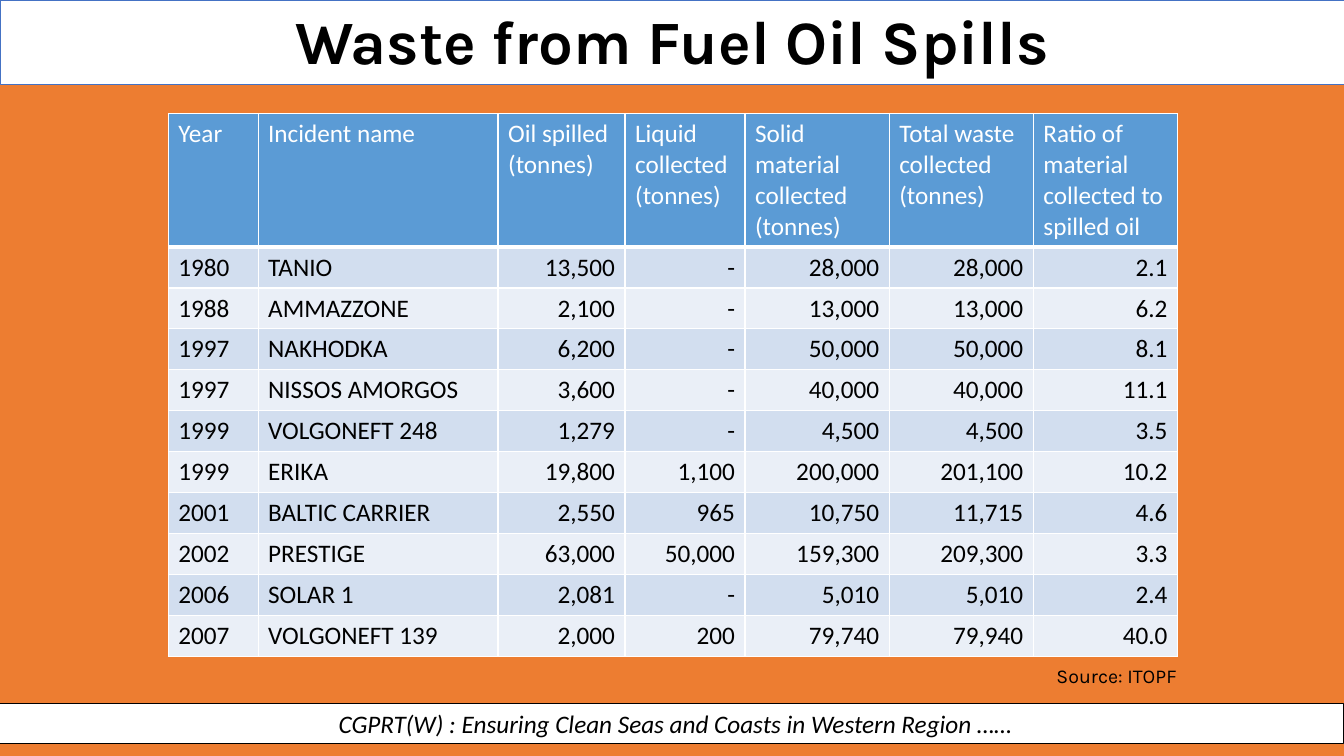
"""Build the slide on waste collected after fuel oil spills."""

from dataclasses import dataclass

from lxml.etree import SubElement
from pptx import Presentation
from pptx.dml.color import RGBColor as Color
from pptx.enum.shapes import MSO_SHAPE as Shape
from pptx.enum.text import MSO_ANCHOR as Anchor, MSO_AUTO_SIZE as AutoSize, PP_ALIGN as Align
from pptx.oxml.ns import qn
from pptx.util import Inches, Pt


@dataclass(frozen=True)
class Theme:
    background: str = "ED7D31"
    white: str = "FFFFFF"
    black: str = "000000"
    title_line: str = "4472C4"
    header: str = "5B9BD5"
    odd_row: str = "D2DEEF"
    even_row: str = "EAEFF7"
    title_font: str = "Karla"
    body_font: str = "Calibri"
    title_size: int = 44
    body_size: int = 18
    source_size: int = 14


@dataclass(frozen=True)
class Band:
    top: float
    height: float
    line: str
    line_width: float


@dataclass(frozen=True)
class Column:
    heading: str
    width: float
    align: Align = Align.RIGHT


THEME = Theme()
SLIDE_WIDTH, SLIDE_HEIGHT = 13.33, 7.5
TITLE_BAND = Band(0, 0.84, THEME.title_line, 0.5)
FOOTER_BAND = Band(6.98, 0.4, THEME.black, 0.75)
HEADER_HEIGHT, ROW_HEIGHT = 1.3, 0.406

COLUMNS = [
    Column("Year", 0.89, Align.LEFT),
    Column("Incident name", 2.38, Align.LEFT),
    Column("Oil spilled (tonnes)", 1.26),
    Column("Liquid collected (tonnes)", 1.19),
    Column("Solid material collected (tonnes)", 1.43),
    Column("Total waste collected (tonnes)", 1.43),
    Column("Ratio of material collected to spilled oil", 1.43),
]

INCIDENTS = [
    ("1980", "TANIO", "13,500", "-", "28,000", "28,000", "2.1"),
    ("1988", "AMMAZZONE", "2,100", "-", "13,000", "13,000", "6.2"),
    ("1997", "NAKHODKA", "6,200", "-", "50,000", "50,000", "8.1"),
    ("1997", "NISSOS AMORGOS", "3,600", "-", "40,000", "40,000", "11.1"),
    ("1999", "VOLGONEFT 248", "1,279", "-", "4,500", "4,500", "3.5"),
    ("1999", "ERIKA", "19,800", "1,100", "200,000", "201,100", "10.2"),
    ("2001", "BALTIC CARRIER", "2,550", "965", "10,750", "11,715", "4.6"),
    ("2002", "PRESTIGE", "63,000", "50,000", "159,300", "209,300", "3.3"),
    ("2006", "SOLAR 1", "2,081", "-", "5,010", "5,010", "2.4"),
    ("2007", "VOLGONEFT 139", "2,000", "200", "79,740", "79,940", "40.0"),
]


def write(frame, text: str, size: int, font: str, align: Align, color: str = THEME.black):
    frame.text = text
    para = frame.paragraphs[0]
    para.alignment = align
    para.font.size = Pt(size)
    para.font.name = font
    para.font.color.rgb = Color.from_string(color)
    return para


def add_band(page, band: Band):
    box = page.shapes.add_shape(
        Shape.RECTANGLE, 0, Inches(band.top), Inches(SLIDE_WIDTH), Inches(band.height)
    )
    box.shadow.inherit = False
    box.fill.solid()
    box.fill.fore_color.rgb = Color.from_string(THEME.white)
    box.line.color.rgb = Color.from_string(band.line)
    box.line.width = Pt(band.line_width)
    return box


def add_title(page) -> None:
    band = add_band(page, TITLE_BAND)
    title = page.shapes.title
    band.element.addnext(title.element)
    title.left, title.top = Inches(0.48), Inches(0.06)
    title.width, title.height = Inches(12.38), Inches(0.61)
    frame = title.text_frame
    frame.auto_size = AutoSize.NONE
    frame.vertical_anchor = Anchor.TOP
    para = write(frame, "Waste from Fuel Oil Spills", THEME.title_size, THEME.title_font, Align.CENTER)
    para.line_spacing = 0.9
    para.font.bold = True


def add_footer(page) -> None:
    frame = add_band(page, FOOTER_BAND).text_frame
    frame.vertical_anchor = Anchor.MIDDLE
    frame.margin_left = Inches(0.17)
    text = "CGPRT(W) : Ensuring Clean Seas and Coasts in Western Region ……"
    para = write(frame, text, THEME.body_size, THEME.body_font, Align.CENTER)
    para.font.italic = True


def add_borders(cell, bottom_width: int) -> None:
    properties = cell._tc.get_or_add_tcPr()
    for side, width in (("L", 1), ("R", 1), ("T", 1), ("B", bottom_width)):
        line = SubElement(properties, qn(f"a:ln{side}"), w=str(Pt(width)))
        fill = SubElement(line, qn("a:solidFill"))
        SubElement(fill, qn("a:srgbClr"), val=THEME.white)


def fill_cell(cell, text: str, align: Align, fill: str, color: str, bottom_width: int = 1) -> None:
    add_borders(cell, bottom_width)
    cell.fill.solid()
    cell.fill.fore_color.rgb = Color.from_string(fill)
    write(cell.text_frame, text, THEME.body_size, THEME.body_font, align, color)


def add_incident_table(page) -> None:
    width = sum(column.width for column in COLUMNS)
    height = HEADER_HEIGHT + ROW_HEIGHT * len(INCIDENTS)
    table = page.shapes.add_table(
        len(INCIDENTS) + 1, len(COLUMNS), Inches(1.67), Inches(1.13), Inches(width), Inches(height)
    ).table
    for row in table.rows:
        row.height = Inches(ROW_HEIGHT)
    table.rows[0].height = Inches(HEADER_HEIGHT)
    for index, column in enumerate(COLUMNS):
        table.columns[index].width = Inches(column.width)
        fill_cell(table.cell(0, index), column.heading, Align.LEFT, THEME.header, THEME.white, 3)
        for number, incident in enumerate(INCIDENTS, start=1):
            fill = THEME.odd_row if number % 2 else THEME.even_row
            fill_cell(table.cell(number, index), incident[index], column.align, fill, THEME.black)


def add_source(page) -> None:
    box = page.shapes.add_textbox(Inches(10.38), Inches(6.54), Inches(1.45), Inches(0.34))
    frame = box.text_frame
    frame.word_wrap = False
    frame.auto_size = AutoSize.SHAPE_TO_FIT_TEXT
    write(frame, "Source: ITOPF", THEME.source_size, THEME.title_font, Align.LEFT)


def main() -> None:
    deck = Presentation()
    deck.slide_width, deck.slide_height = Inches(SLIDE_WIDTH), Inches(SLIDE_HEIGHT)
    page = deck.slides.add_slide(deck.slide_layouts.get_by_name("Title Only"))
    page.background.fill.solid()
    page.background.fill.fore_color.rgb = Color.from_string(THEME.background)
    add_footer(page)
    add_title(page)
    add_incident_table(page)
    add_source(page)
    deck.save("out.pptx")


if __name__ == "__main__":
    main()
